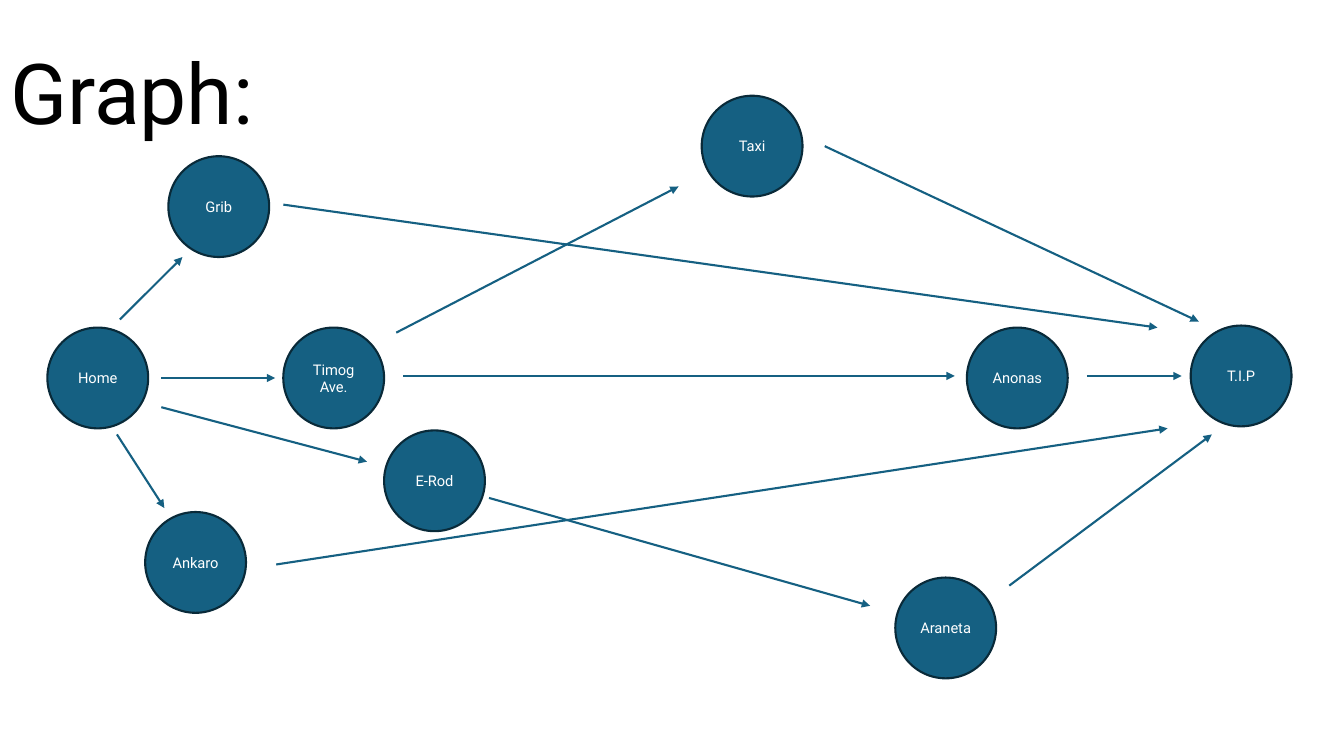
from lxml.etree import SubElement
from pptx import Presentation
from pptx.dml.color import RGBColor
from pptx.enum.shapes import MSO_CONNECTOR, MSO_SHAPE
from pptx.enum.text import MSO_ANCHOR, PP_ALIGN
from pptx.oxml.ns import qn
from pptx.util import Inches, Pt

COLORS = {"node": "156082", "outline": "092A39", "white": "FFFFFF", "black": "000000"}
FONT = "Roboto"
DIAMETER = 1
LINE_WIDTH = 1.5

# Node centres, in inches from the graph's top left corner
NODES = {
    "T.I.P": (11.84, 2.78),
    "Home": (0.5, 2.8),
    "Timog Ave.": (2.84, 2.8),
    "Ankaro": (1.47, 4.63),
    "Grib": (1.7, 1.1),
    "Taxi": (6.99, 0.5),
    "Anonas": (9.62, 2.8),
    "E-Rod": (3.84, 3.82),
    "Araneta": (8.91, 5.28),
}

# Each arrow: start node, offset from its centre, end node, offset from its centre
ROUTES = [
    ("Home", (0.63, 0), "Timog Ave.", (-0.58, 0)),
    ("Ankaro", (0.8, 0.02), "T.I.P", (-0.73, 0.52)),
    ("Grib", (0.64, -0.02), "T.I.P", (-0.83, -0.48)),
    ("Timog Ave.", (0.69, -0.02), "Anonas", (-0.62, -0.02)),
    ("Home", (0.63, 0.29), "E-Rod", (-0.67, -0.19)),
    ("E-Rod", (0.54, 0.17), "Araneta", (-0.75, -0.22)),
    ("Araneta", (0.63, -0.42), "T.I.P", (-0.29, 0.58)),
    ("Timog Ave.", (0.62, -0.45), "Taxi", (-0.73, 0.4)),
    ("Taxi", (0.72, 0), "T.I.P", (-0.42, -0.54)),
    ("Anonas", (0.69, -0.02), "T.I.P", (-0.59, 0)),
    ("Home", (0.19, 0.56), "Ankaro", (-0.31, -0.54)),
    ("Home", (0.22, -0.58), "Grib", (-0.36, 0.5)),
]


def color(name):
    return RGBColor.from_string(COLORS[name])


def write_text(shape, text, size, color_name, alignment, anchor):
    text_frame = shape.text_frame
    text_frame.text = text
    text_frame.word_wrap = True
    text_frame.vertical_anchor = anchor
    paragraph = text_frame.paragraphs[0]
    paragraph.alignment = alignment
    font = paragraph.runs[0].font
    font.name = FONT
    font.size = Pt(size)
    font.color.rgb = color(color_name)


def add_title(slide, left, top, width, height):
    title = slide.shapes.title
    title.left, title.top = Inches(left), Inches(top)
    title.width, title.height = Inches(width), Inches(height)
    write_text(title, "Graph:", 60, "black", PP_ALIGN.LEFT, MSO_ANCHOR.TOP)


def add_node(slide, name, center_x, center_y):
    node = slide.shapes.add_shape(
        MSO_SHAPE.OVAL,
        Inches(center_x - DIAMETER / 2), Inches(center_y - DIAMETER / 2),
        Inches(DIAMETER), Inches(DIAMETER))
    node.shadow.inherit = False
    node.fill.solid()
    node.fill.fore_color.rgb = color("node")
    node.line.color.rgb = color("outline")
    node.line.width = Pt(LINE_WIDTH)
    write_text(node, name, 10.5, "white", PP_ALIGN.CENTER, MSO_ANCHOR.MIDDLE)


def add_arrow(slide, start, end):
    arrow = slide.shapes.add_connector(
        MSO_CONNECTOR.STRAIGHT, *(Inches(value) for value in (*start, *end)))
    arrow.line.color.rgb = color("node")
    arrow.line.width = Pt(LINE_WIDTH)
    SubElement(arrow.line._get_or_add_ln(), qn("a:tailEnd"), type="triangle")
    SubElement(arrow._element.spPr, qn("a:effectLst"))


def add_graph(slide, left, top):
    centers = {name: (left + x, top + y) for name, (x, y) in NODES.items()}

    def point(name, offset):
        return centers[name][0] + offset[0], centers[name][1] + offset[1]

    # Places
    for name, center in centers.items():
        add_node(slide, name, *center)
    # Routes between them
    for start, start_offset, end, end_offset in ROUTES:
        add_arrow(slide, point(start, start_offset), point(end, end_offset))


def main():
    presentation = Presentation()
    presentation.slide_width = Inches(13.33)
    presentation.slide_height = Inches(7.5)
    title_only = presentation.slide_layouts[5]
    slide = presentation.slides.add_slide(title_only)
    add_title(slide, 0, 0.35, 13.33, 1.11)
    add_graph(slide, 0.47, 0.95)
    presentation.save("out.pptx")


if __name__ == "__main__":
    main()
